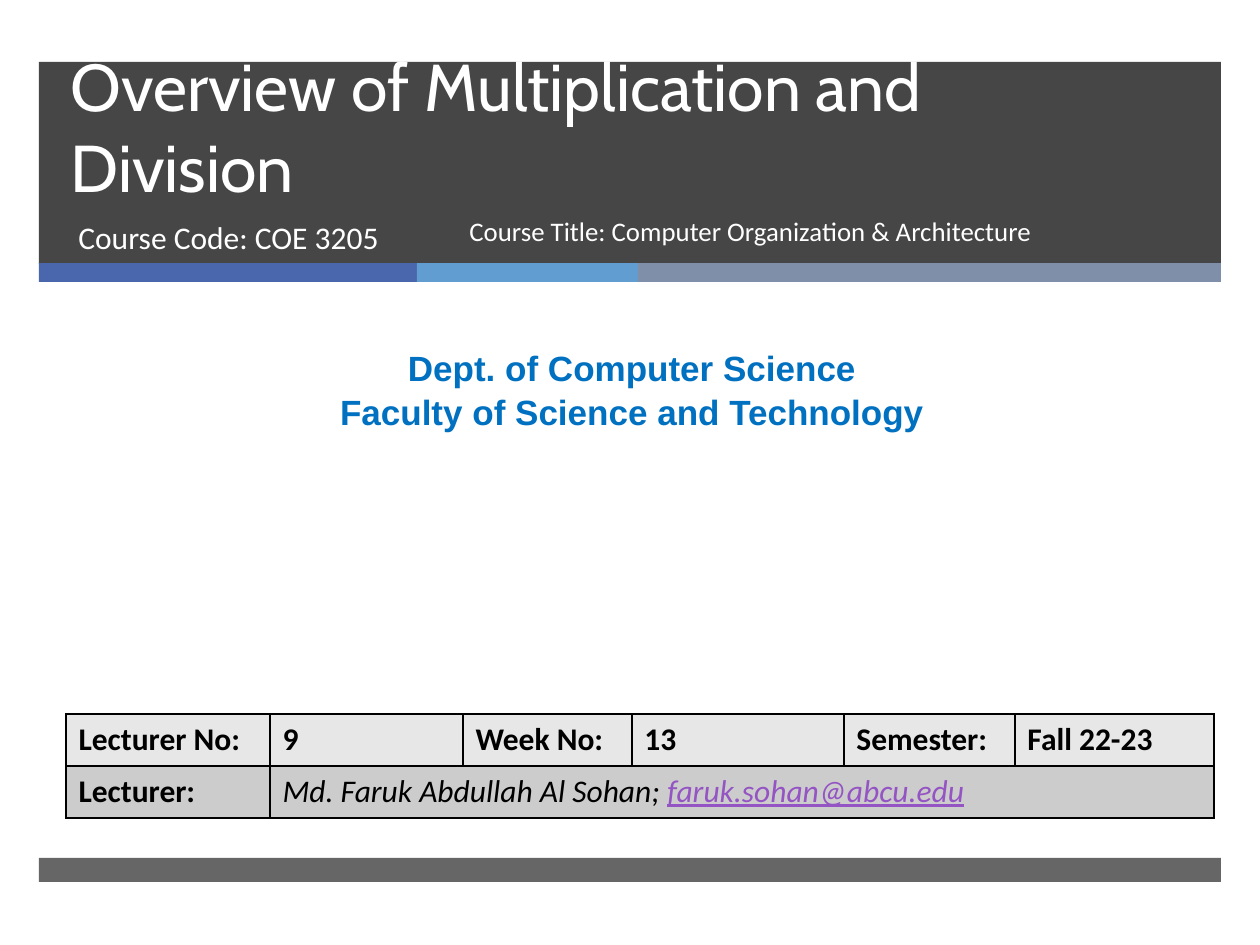
import pptx
import pptx.util
import pptx.dml.color
import pptx.enum.shapes
import pptx.enum.text
import pptx.oxml
import pptx.oxml.ns
import lxml.etree

SCALE = 914400 // 126
ALIGN = pptx.enum.text.PP_ALIGN
ANCHOR = pptx.enum.text.MSO_ANCHOR


def px(length):
    return pptx.util.Emu(length * SCALE)


def color(hex_string):
    return pptx.dml.color.RGBColor.from_string(hex_string)


class SlideBuilder:
    dark, white, black = "262626", "FFFFFF", "000000"
    body_font = "Calibri"

    def __init__(self, slide):
        self.slide = slide

    def format_run(self, run, size, hex_string, font=body_font, bold=False,
                   italic=False, underline=False):
        run.font.size = pptx.util.Pt(size)
        run.font.name = font
        run.font.color.rgb = color(hex_string)
        run.font.bold = bold
        run.font.italic = italic
        run.font.underline = underline

    def bar(self, left, top, width, height, fill, alpha=100):
        shape = self.slide.shapes.add_shape(
            pptx.enum.shapes.MSO_SHAPE.RECTANGLE,
            px(left), px(top), px(width), px(height))
        shape.shadow.inherit = False
        shape.line.fill.background()
        shape.fill.solid()
        shape.fill.fore_color.rgb = color(fill)
        if alpha < 100:
            rgb = shape.element.spPr.find(".//" + pptx.oxml.ns.qn("a:srgbClr"))
            lxml.etree.SubElement(rgb, pptx.oxml.ns.qn("a:alpha"),
                                  val=str(alpha * 1000))

    def fill_text(self, shape, lines, size, hex_string, align=ALIGN.LEFT,
                  anchor=ANCHOR.TOP, spacing=None, **style):
        frame = shape.text_frame
        frame.word_wrap = True
        frame.auto_size = pptx.enum.text.MSO_AUTO_SIZE.NONE
        frame.vertical_anchor = anchor
        frame.text = "\n".join(lines)
        for paragraph in frame.paragraphs:
            paragraph.alignment = align
            paragraph.line_spacing = spacing
            for run in paragraph.runs:
                self.format_run(run, size, hex_string, **style)

    def title(self, left, top, width, height, text, size, **style):
        shape = self.slide.shapes.title
        shape.left, shape.top = px(left), px(top)
        shape.width, shape.height = px(width), px(height)
        shape.element.getparent().append(shape.element)  # in front of the bars
        self.fill_text(shape, [text], size, self.white, **style)

    def text(self, left, top, width, height, lines, size, hex_string, **style):
        shape = self.slide.shapes.add_textbox(
            px(left), px(top), px(width), px(height))
        self.fill_text(shape, lines, size, hex_string, **style)

    def cell_borders(self, cell):
        properties = cell._tc.get_or_add_tcPr()
        for index, side in enumerate(("lnL", "lnR", "lnT", "lnB")):
            properties.insert(index, pptx.oxml.parse_xml(
                f'<a:{side} {pptx.oxml.ns.nsdecls("a")} w="12700"><a:solidFill>'
                f'<a:srgbClr val="{self.black}"/></a:solidFill></a:{side}>'))

    def table(self, left, top, widths, row_height, row_fills):
        table = self.slide.shapes.add_table(
            len(row_fills), len(widths), px(left), px(top),
            px(sum(widths)), px(row_height * len(row_fills))).table
        for column, width in zip(table.columns, widths):
            column.width = px(width)
        for row, fill in zip(table.rows, row_fills):
            row.height = px(row_height)
            for cell in row.cells:
                cell.fill.solid()
                cell.fill.fore_color.rgb = color(fill)
                self.cell_borders(cell)
        return table

    def cell(self, cell, *parts):
        paragraph = cell.text_frame.paragraphs[0]
        for text, hex_string, style in parts:
            run = paragraph.add_run()
            run.text = text
            self.format_run(run, 18, hex_string, **style)


presentation = pptx.Presentation()
presentation.slide_width = px(1260)
presentation.slide_height = px(945)
builder = SlideBuilder(
    presentation.slides.add_slide(presentation.slide_layouts[5]))

# Header band, accent strip and footer band
builder.bar(39, 62, 1182, 202, builder.dark, 85)
strip_left = 39
for strip_width, strip_fill in ((378, "4A66AC"), (221, "629DD1"), (583, "7F8FA9")):
    builder.bar(strip_left, 263, strip_width, 19, strip_fill)
    strip_left += strip_width
builder.bar(39, 858, 1182, 24, builder.dark, 70)

# Title and course details
builder.title(58, 62, 1076, 150, "Overview of Multiplication and Division", 37.8,
              font="Cabin", anchor=ANCHOR.BOTTOM, spacing=pptx.util.Pt(46))
builder.text(66, 212, 384, 67, ["Course Code: COE 3205"], 18, builder.white)
builder.text(457, 212, 591, 67,
             ["Course Title: Computer Organization & Architecture"],
             15.3, builder.white, spacing=0.9)

# Department
builder.text(10, 338, 1244, 97,
             ["Dept. of Computer Science", "Faculty of Science and Technology"],
             20, "0070C0", font="Arial", bold=True, align=ALIGN.CENTER,
             spacing=1.05)

# Lecture details
table = builder.table(66, 714, (204, 193, 169, 212, 171, 199), 52,
                      ("E7E7E7", "CCCCCC"))
bold = {"bold": True}
labels = ("Lecturer No:", "9", "Week No:", "13", "Semester:", "Fall 22-23")
for column, label in enumerate(labels):
    builder.cell(table.cell(0, column), (label, builder.black, bold))
builder.cell(table.cell(1, 0), ("Lecturer:", builder.black, bold))
table.cell(1, 1).merge(table.cell(1, 5))
builder.cell(table.cell(1, 1),
             ("Md. Faruk Abdullah Al Sohan; ", builder.black, {"italic": True}),
             ("faruk.sohan@abcu.edu", "9454C3",
              {"italic": True, "underline": True}))

presentation.save("out.pptx")
